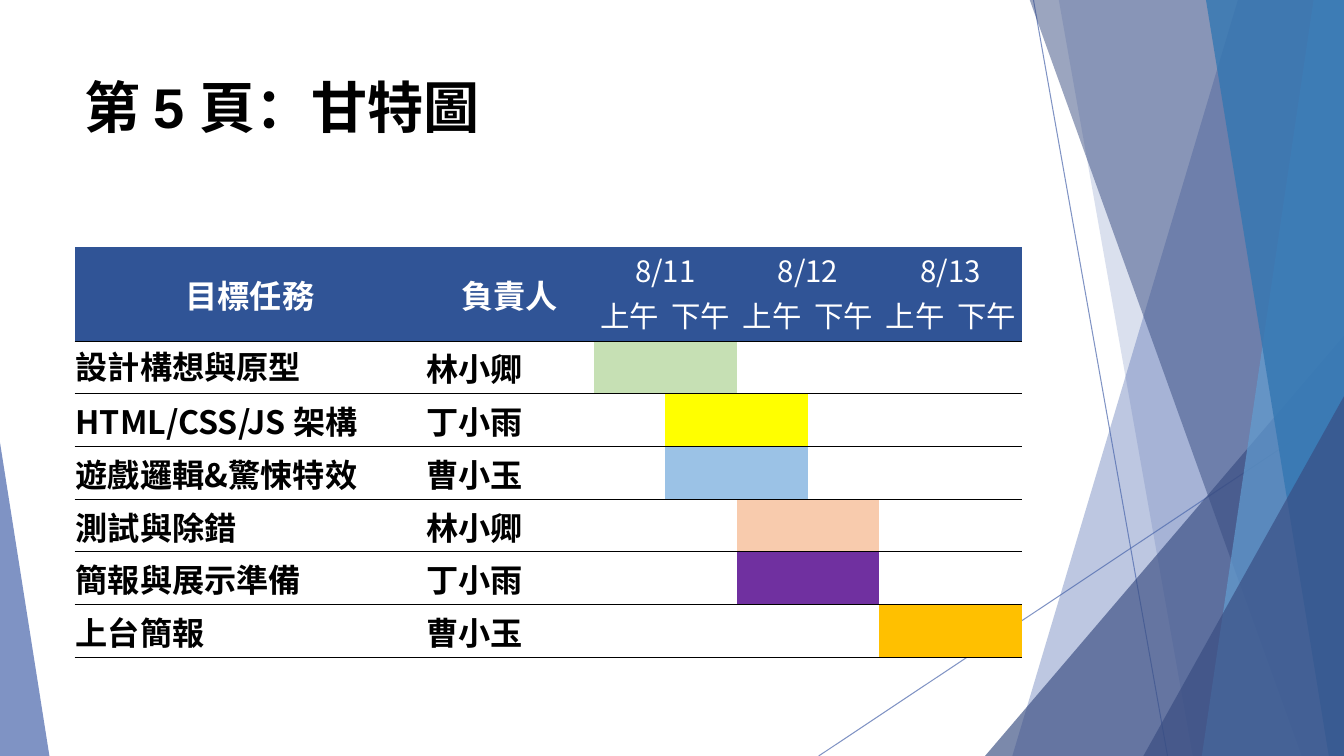
from dataclasses import dataclass

from lxml import etree
from pptx import Presentation
from pptx import util as u
from pptx.dml.color import RGBColor
from pptx.enum import shapes, text
from pptx.oxml import ns

BLACK = RGBColor(0x00, 0x00, 0x00)
WHITE = RGBColor(0xFF, 0xFF, 0xFF)
BLUE = RGBColor(0x4A, 0x66, 0xAC)
NAVY = RGBColor(0x38, 0x4C, 0x81)
SKY = RGBColor(0x62, 0x9D, 0xD1)
OCEAN = RGBColor(0x34, 0x77, 0xB2)
HEADER = RGBColor(0x30, 0x54, 0x96)
GREEN = RGBColor(0xC6, 0xE0, 0xB4)
YELLOW = RGBColor(0xFF, 0xFF, 0x00)
LIGHT_BLUE = RGBColor(0x9B, 0xC2, 0xE6)
PEACH = RGBColor(0xF8, 0xCB, 0xAD)
PURPLE = RGBColor(0x70, 0x30, 0xA0)
ORANGE = RGBColor(0xFF, 0xC0, 0x00)
CJK_FONT = "Noto Sans CJK SC"
NO_GRID_STYLE = "{2D5ABB26-0587-4C30-8999-92F81FD0307C}"
RIGHT, TOP, BOTTOM = 13.33, -0.01, 7.5


@dataclass(frozen=True)
class Ray:
    start: tuple[float, float]
    end: tuple[float, float]


@dataclass(frozen=True)
class Band:
    top_left: float
    bottom_left: float
    color: RGBColor
    opacity: int


@dataclass(frozen=True)
class Triangle:
    left: float
    top: float
    width: float
    apex: int
    color: RGBColor
    opacity: int


@dataclass(frozen=True)
class Task:
    name: str
    owner: str
    first_half_day: int
    color: RGBColor


RAYS = [Ray((10.25, 0), (11.58, BOTTOM)), Ray((RIGHT, 4.03), (8.12, BOTTOM))]
FACETS = [
    Band(12.28, 10.04, BLUE, 36),
    Band(10.5, 11.83, BLUE, 20),
    Triangle(9.77, 3.33, 3.56, 1, NAVY, 66),
    Band(10.21, 12.91, NAVY, 50),
    Band(13.03, 11.92, SKY, 70),
    Band(11.96, 13.18, OCEAN, 80),
    Triangle(11.34, 3.93, 1.99, 1, NAVY, 66),
    Triangle(0, 4.39, 0.49, 0, BLUE, 70),
]
DAYS = ["8/11", "8/12", "8/13"]
HALVES = ["上午", "下午"]
TASKS = [
    Task("設計構想與原型", "林小卿", 0, GREEN),
    Task("HTML/CSS/JS 架構", "丁小雨", 1, YELLOW),
    Task("遊戲邏輯&驚悚特效", "曹小玉", 1, LIGHT_BLUE),
    Task("測試與除錯", "林小卿", 2, PEACH),
    Task("簡報與展示準備", "丁小雨", 2, PURPLE),
    Task("上台簡報", "曹小玉", 4, ORANGE),
]


def set_opacity(shape, opacity: int) -> None:
    for color in shape.element.xpath(".//a:srgbClr"):
        etree.SubElement(color, ns.qn("a:alpha"), val=str(opacity * 1000))


def write(frame, content: str, *, size: float = 23, bold: bool = True,
          color: RGBColor = BLACK, font: str = CJK_FONT,
          align=text.PP_ALIGN.LEFT) -> None:
    paragraph = frame.paragraphs[0]
    paragraph.alignment = align
    run = paragraph.add_run()
    run.text = content
    run.font.size = u.Pt(size)
    run.font.bold = bold
    run.font.color.rgb = color
    run.font.name = font
    etree.SubElement(run._r.get_or_add_rPr(), ns.qn("a:ea"), typeface=CJK_FONT)


def draw_ray(slide, ray: Ray) -> None:
    points = [u.Inches(value) for value in ray.start + ray.end]
    connector = slide.shapes.add_connector(shapes.MSO_CONNECTOR.STRAIGHT, *points)
    connector.line.color.rgb = BLUE
    connector.line.width = u.Pt(0.75)
    set_opacity(connector, 70)
    etree.SubElement(connector.element.spPr, ns.qn("a:effectLst"))


def draw_facet(slide, facet: Band | Triangle) -> None:
    if isinstance(facet, Band):
        corners = [(RIGHT, TOP), (RIGHT, BOTTOM), (facet.bottom_left, BOTTOM)]
        builder = slide.shapes.build_freeform(u.Inches(facet.top_left), u.Inches(TOP))
        builder.add_line_segments([(u.Inches(x), u.Inches(y)) for x, y in corners])
        shape = builder.convert_to_shape()
    else:
        shape = slide.shapes.add_shape(
            shapes.MSO_SHAPE.ISOSCELES_TRIANGLE, u.Inches(facet.left),
            u.Inches(facet.top), u.Inches(facet.width), u.Inches(BOTTOM - facet.top))
        shape.adjustments[0] = facet.apex
    shape.shadow.inherit = False
    shape.fill.solid()
    shape.fill.fore_color.rgb = facet.color
    shape.line.fill.background()
    set_opacity(shape, facet.opacity)


def draw_title(slide, content: str) -> None:
    box = slide.shapes.add_textbox(u.Inches(0.74), u.Inches(0.67),
                                   u.Inches(9.4), u.Inches(1.44))
    box.text_frame.word_wrap = True
    write(box.text_frame, content, size=40, font="Arial")


def fill_cell(cell, color: RGBColor | None) -> None:
    if color is None:
        cell.fill.background()
    else:
        cell.fill.solid()
        cell.fill.fore_color.rgb = color


def rule_below(cell) -> None:
    line = etree.Element(ns.qn("a:lnB"), w=str(u.Pt(0.5)))
    solid = etree.SubElement(line, ns.qn("a:solidFill"))
    etree.SubElement(solid, ns.qn("a:srgbClr"), val=str(BLACK))
    cell._tc.get_or_add_tcPr().insert(0, line)


def write_cell(cell, content: str, *, anchor=text.MSO_ANCHOR.MIDDLE, **style) -> None:
    cell.margin_left = cell.margin_top = cell.margin_right = u.Inches(0.01)
    cell.margin_bottom = 0
    cell.vertical_anchor = anchor
    write(cell.text_frame, content, **style)


def draw_gantt(slide) -> None:
    half_days = len(DAYS) * len(HALVES)
    row_count, column_count = len(TASKS) + 2, half_days + 2
    width, height, name_width, owner_width, day_height = 9.4, 4.07, 3.48, 1.67, 0.41
    frame = slide.shapes.add_table(row_count, column_count, u.Inches(0.74),
                                   u.Inches(2.45), u.Inches(width), u.Inches(height))
    frame.element.xpath(".//a:tableStyleId")[0].text = NO_GRID_STYLE
    table = frame.table
    table.first_row = table.horz_banding = False
    half_width = (width - name_width - owner_width) / half_days
    for column, size in zip(table.columns, [name_width, owner_width] + [half_width] * half_days):
        column.width = u.Inches(size)
    row_height = (height - day_height) / (row_count - 1)
    for row, size in zip(table.rows, [day_height] + [row_height] * (row_count - 1)):
        row.height = u.Inches(size)

    for r in range(row_count):
        for c in range(column_count):
            cell = table.cell(r, c)
            color = HEADER if r < 2 else None
            if r >= 2:
                task = TASKS[r - 2]
                if 0 <= c - 2 - task.first_half_day < 2:
                    color = task.color
            fill_cell(cell, color)
            if r > 0 or c < 2:
                rule_below(cell)

    heading = dict(color=WHITE, align=text.PP_ALIGN.CENTER)
    for c, label in enumerate(["目標任務", "負責人"]):
        table.cell(0, c).merge(table.cell(1, c))
        write_cell(table.cell(0, c), label, **heading)
    for d, day in enumerate(DAYS):
        first = 2 + d * len(HALVES)
        table.cell(0, first).merge(table.cell(0, first + 1))
        write_cell(table.cell(0, first), day, size=21, bold=False, **heading)
        for h, half in enumerate(HALVES):
            write_cell(table.cell(1, first + h), half, size=21, bold=False, **heading)
    for r, task in enumerate(TASKS, start=2):
        anchor = text.MSO_ANCHOR.TOP if r == 2 else text.MSO_ANCHOR.MIDDLE
        write_cell(table.cell(r, 0), task.name, anchor=anchor)
        write_cell(table.cell(r, 1), task.owner)


def main() -> None:
    presentation = Presentation()
    presentation.slide_width = u.Inches(RIGHT)
    presentation.slide_height = u.Inches(BOTTOM)
    slide = presentation.slides.add_slide(presentation.slide_layouts[6])
    for ray in RAYS:
        draw_ray(slide, ray)
    for facet in FACETS:
        draw_facet(slide, facet)
    draw_title(slide, "第 5 頁：甘特圖")
    draw_gantt(slide)
    presentation.save("out.pptx")


if __name__ == "__main__":
    main()
